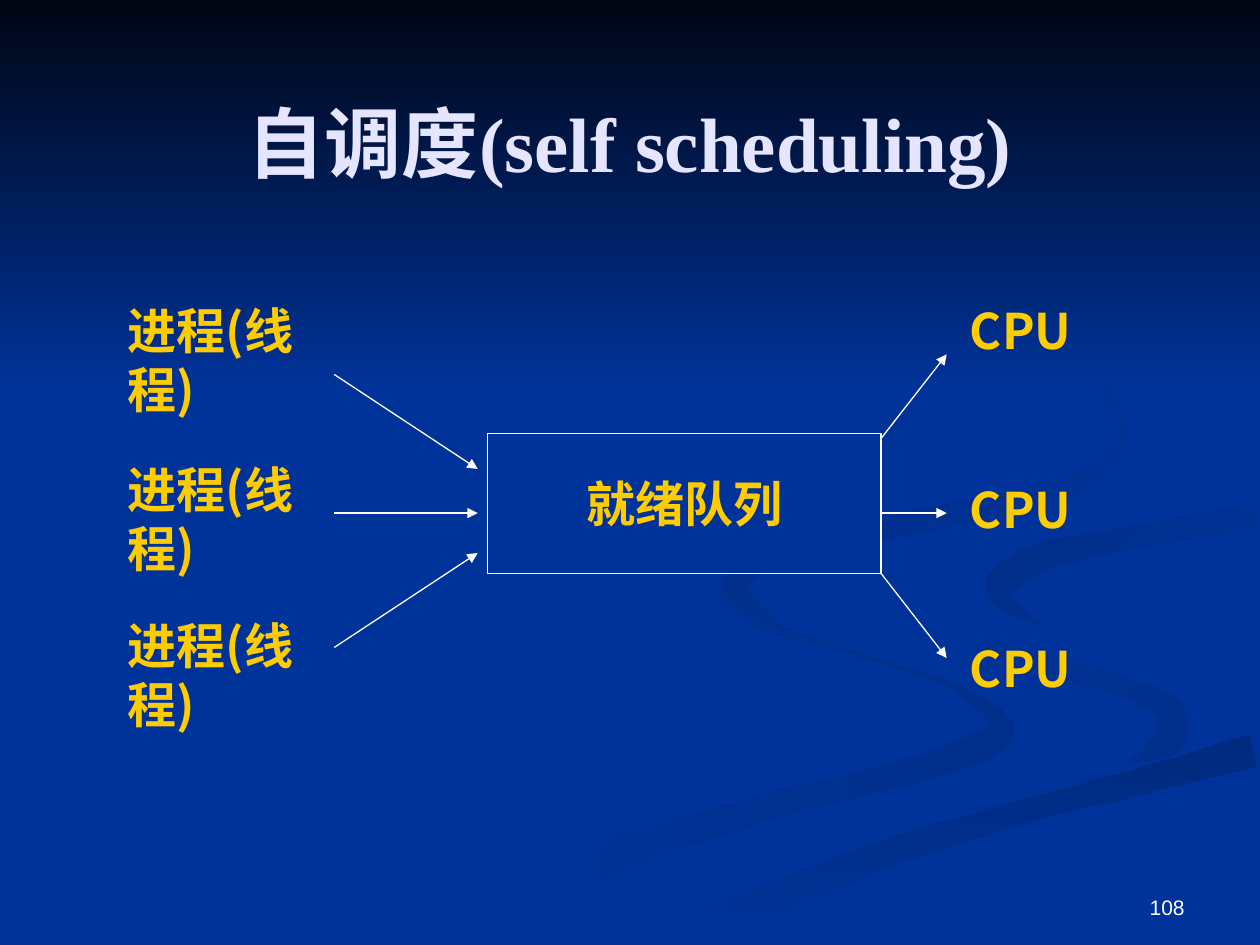
from math import hypot

from lxml.etree import SubElement
from pptx import Presentation
from pptx.dml.color import RGBColor
from pptx.enum.shapes import MSO_CONNECTOR, MSO_SHAPE
from pptx.enum.text import MSO_ANCHOR as ANCHOR, PP_ALIGN as ALIGN
from pptx.oxml.ns import qn
from pptx.util import Pt

COLORS = {
    "blue": "003399", "night": "000514", "title": "E5E5FF", "gold": "FFCC00",
    "white": "FFFFFF", "shade": "002E8B", "band": "002A7D", "inlet": "002D86",
    "wisp": "002B82",
}
CJK_FONT = "Noto Sans CJK SC"
SLIDE_WIDTH, SLIDE_HEIGHT = 720, 540
SKY_HEIGHT = 222
STEPS_PER_KNOT = 6

# Each ribbon: first colour, last colour, clockwise gradient angle, and the
# knots (x, y, width) that its middle line passes through
RIBBONS = {
    "lower trail": ("blue", "shade", 0, [
        (414, 330, 0), (414, 341, 5), (437, 357, 6), (490, 374, 2),
        (540, 390, 3), (571, 412, 11), (564, 425, 16), (512, 443, 14),
        (446, 459, 14), (359, 486, 18), (300, 508, 20), (252, 530, 20)]),
    "right bend": ("blue", "shade", 45, [
        (521, 334, 0), (526, 345, 2), (549, 364, 8), (600, 380, 11),
        (641, 392, 11), (666, 404, 15), (670, 416, 18), (665, 426, 14),
        (644, 436, 0)]),
    "bottom band": ("band", "blue", 90, [
        (395, 531, 16), (455, 508, 16), (500, 490, 15), (541, 477, 14),
        (591, 462, 13), (650, 447, 15), (716, 429, 18)]),
    "inlet": ("inlet", "blue", 45, [
        (595, 357, 0), (574, 344, 10), (573, 332, 17), (594, 319, 16),
        (616, 313, 14), (660, 305, 12), (718, 295, 13)]),
    "upper wisp": ("wisp", "blue", 45, [
        (549, 168, 0), (608, 200, 2), (642, 245, 5), (612, 277, 12),
        (530, 297, 12), (452, 313, 11), (428, 325, 13), (421, 338, 11),
        (448, 360, 0)]),
}

QUEUE_LEFT, QUEUE_TOP, QUEUE_WIDTH, QUEUE_HEIGHT = 278.5, 247.7, 225, 80
QUEUE_RIGHT = QUEUE_LEFT + QUEUE_WIDTH
PROCESS_LEFT, CPU_LEFT = 66, 547.2
INPUT_START, INPUT_END = 191, 273
OUTPUT_END = 541

# Each row: top of the label, then the heights where its arrow starts and ends
PROCESS_ROWS = [(168, 214, 268), (259, 293.2, 293.2), (348, 370, 316)]
CPU_ROWS = [(168, 250.5, 202.5), (270.7, 293.2, 293.2), (361.5, 327.7, 376)]


def rgb(name):
    return RGBColor.from_string(COLORS[name])


def smooth(knots):
    """Return points on a Catmull-Rom curve through the knots."""
    padded = [knots[0], *knots, knots[-1]]
    points = []
    for window in zip(padded, padded[1:], padded[2:], padded[3:]):
        for step in range(STEPS_PER_KNOT):
            t = step / STEPS_PER_KNOT
            points.append(tuple(
                b + t * (c - a) / 2
                + t ** 2 * (2 * a - 5 * b + 4 * c - d) / 2
                + t ** 3 * (3 * b - a - 3 * c + d) / 2
                for a, b, c, d in zip(*window)))
    return points + [knots[-1]]


def ribbon_outline(knots):
    """Go along one side of the middle line and back along the other."""
    middle = smooth(knots)
    befores = [middle[0], *middle[:-1]]
    afters = [*middle[1:], middle[-1]]
    near_side, far_side = [], []
    for before, (x, y, width), after in zip(befores, middle, afters):
        run, rise = after[0] - before[0], after[1] - before[1]
        reach = max(width, 0) / 2 / hypot(run, rise)
        near_side.append((x - rise * reach, y + run * reach))
        far_side.append((x + rise * reach, y - run * reach))
    return near_side + far_side[::-1]


def fill_gradient(shape, first, last, angle):
    shape.shadow.inherit = False
    shape.line.fill.background()
    shape.fill.gradient()
    shape.fill.gradient_angle = 360 - angle
    for stop, color in zip(shape.fill.gradient_stops, (first, last)):
        stop.color.rgb = rgb(color)


def add_ribbon(slide, first, last, angle, knots):
    start, *rest = ribbon_outline(knots)
    builder = slide.shapes.build_freeform(*start, scale=Pt(1))
    builder.add_line_segments(rest, close=True)
    fill_gradient(builder.convert_to_shape(), first, last, angle)


def add_night_sky(slide):
    sky = slide.shapes.add_shape(MSO_SHAPE.RECTANGLE, 0, 0,
                                 Pt(SLIDE_WIDTH), Pt(SKY_HEIGHT))
    fill_gradient(sky, "night", "blue", 90)


def write(frame, text, size, font_name, color, bold=True, align=ALIGN.LEFT):
    """Fill a text frame with one paragraph, with a font for Chinese too."""
    frame.text = text
    paragraph = frame.paragraphs[0]
    paragraph.alignment = align
    font = paragraph.font
    font.size, font.name, font.bold = Pt(size), font_name, bold
    font.color.rgb = rgb(color)
    defaults = paragraph._p.pPr.find(qn("a:defRPr"))
    SubElement(defaults, qn("a:ea"), typeface=CJK_FONT)


def add_title(slide, text):
    """Fill the title placeholder and bring it in front of the backdrop."""
    title = slide.shapes.title
    title.left, title.top, title.width, title.height = map(Pt, (36, 42, 648, 78))
    title.text_frame.vertical_anchor = ANCHOR.MIDDLE
    write(title.text_frame, text, 44, "Times New Roman", "title",
          align=ALIGN.CENTER)
    title.element.getparent().append(title.element)


def add_label(slide, text, left, top, height):
    label = slide.shapes.add_textbox(Pt(left), Pt(top), Pt(119), Pt(height))
    label.text_frame.word_wrap = True
    write(label.text_frame, text, 28, CJK_FONT, "gold")


def add_queue(slide, text):
    queue = slide.shapes.add_shape(
        MSO_SHAPE.RECTANGLE, Pt(QUEUE_LEFT), Pt(QUEUE_TOP),
        Pt(QUEUE_WIDTH), Pt(QUEUE_HEIGHT))
    queue.shadow.inherit = False
    queue.fill.solid()
    queue.fill.fore_color.rgb = rgb("blue")
    queue.line.color.rgb = rgb("white")
    queue.line.width = Pt(0.75)
    queue.text_frame.word_wrap = False
    queue.text_frame.vertical_anchor = ANCHOR.MIDDLE
    write(queue.text_frame, text, 28, CJK_FONT, "gold", align=ALIGN.CENTER)


def add_arrow(slide, *ends):
    arrow = slide.shapes.add_connector(MSO_CONNECTOR.STRAIGHT, *map(Pt, ends))
    arrow.line.color.rgb = rgb("white")
    arrow.line.width = Pt(0.75)
    SubElement(arrow.line._get_or_add_ln(), qn("a:tailEnd"), type="triangle")
    SubElement(arrow.element.spPr, qn("a:effectLst"))


def add_page_number(slide, number):
    page = slide.shapes.add_textbox(Pt(516), Pt(491.5), Pt(168), Pt(37.5))
    page.text_frame.word_wrap = True
    page.text_frame.vertical_anchor = ANCHOR.BOTTOM
    write(page.text_frame, number, 12, "Arial", "white", bold=False,
          align=ALIGN.RIGHT)


def main():
    deck = Presentation()
    deck.slide_width, deck.slide_height = Pt(SLIDE_WIDTH), Pt(SLIDE_HEIGHT)
    slide = deck.slides.add_slide(deck.slide_layouts[5])
    slide.background.fill.solid()
    slide.background.fill.fore_color.rgb = rgb("blue")
    for ribbon in RIBBONS.values():
        add_ribbon(slide, *ribbon)
    add_night_sky(slide)
    add_page_number(slide, "108")
    add_title(slide, "自调度(self scheduling)")
    add_queue(slide, "就绪队列")
    for label_top, start_y, end_y in PROCESS_ROWS:
        add_label(slide, "进程(线程)", PROCESS_LEFT, label_top, 75)
        add_arrow(slide, INPUT_START, start_y, INPUT_END, end_y)
    for label_top, start_y, end_y in CPU_ROWS:
        add_label(slide, "CPU", CPU_LEFT, label_top, 41)
        add_arrow(slide, QUEUE_RIGHT, start_y, OUTPUT_END, end_y)
    deck.save("out.pptx")


if __name__ == "__main__":
    main()
